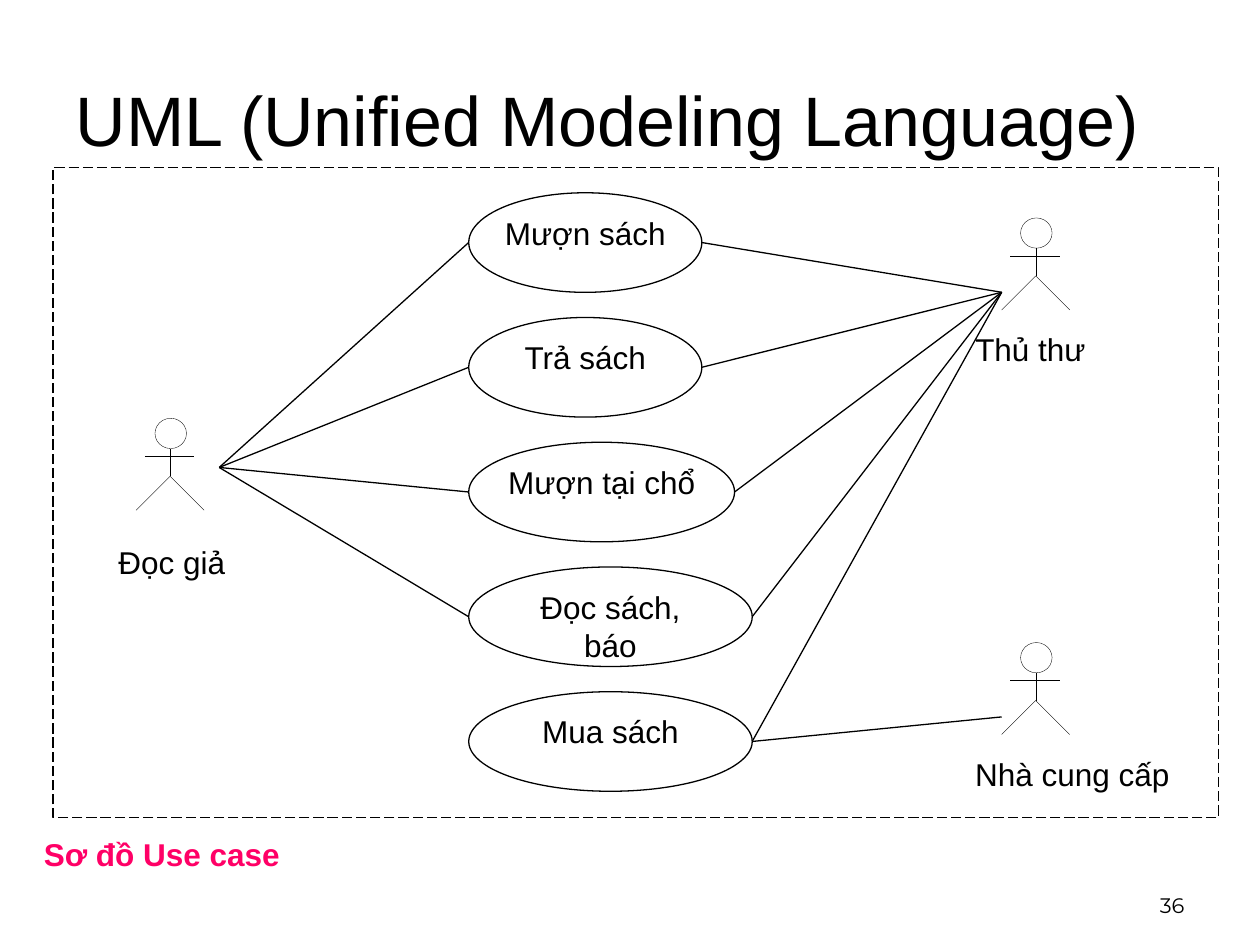
from lxml import etree
from pptx import Presentation
from pptx.dml.color import RGBColor
from pptx.enum import dml, shapes, text
from pptx.oxml import ns
from pptx.util import Inches, Pt

BLACK = RGBColor(0x00, 0x00, 0x00)
WHITE = RGBColor(0xFF, 0xFF, 0xFF)
PINK = RGBColor(0xFF, 0x00, 0x66)
ALIGN = text.PP_ALIGN
ANCHOR = text.MSO_ANCHOR


def write(part, words, inset=(0, 0), align=ALIGN.LEFT, anchor=ANCHOR.TOP,
          wrap=True, color=BLACK, **font_values):
    frame = part.text_frame
    side, top = (Inches(value) for value in inset)
    layout_values = {"margin_left": side, "margin_right": side,
                     "margin_top": top, "margin_bottom": top,
                     "vertical_anchor": anchor, "word_wrap": wrap,
                     "auto_size": text.MSO_AUTO_SIZE.NONE}
    for key, value in layout_values.items():
        setattr(frame, key, value)
    frame.text = words
    paragraph = frame.paragraphs[0]
    paragraph.alignment = align
    for key, value in ({"name": "Arial", "size": Pt(18)} | font_values).items():
        setattr(paragraph.font, key, value)
    paragraph.font.color.rgb = color


def connect(start, end, weight=0.75):
    link = slide.shapes.add_connector(
        shapes.MSO_CONNECTOR.STRAIGHT, *(Inches(value) for value in start + end))
    link.line.color.rgb = BLACK
    link.line.width = Pt(weight)
    etree.SubElement(link._element.spPr, ns.qn("a:effectLst"))


deck = Presentation()
deck.slide_width = Inches(10)
deck.slide_height = Inches(7.5)
slide = deck.slides.add_slide(deck.slide_layouts[5])

title = slide.shapes.title
title_place = {"left": 0.5, "top": 0.5, "width": 9, "height": 1.5}
for key, value in title_place.items():
    setattr(title, key, Inches(value))
write(title, "UML (Unified Modeling Language)", (0.1, 0.11), size=Pt(40))

page_number = slide.shapes.add_textbox(
    Inches(7.17), Inches(6.83), Inches(2.33), Inches(0.5))
write(page_number, "36", (0.1, 0.05), ALIGN.RIGHT, ANCHOR.BOTTOM,
      name="Montserrat", size=Pt(12))

caption = slide.shapes.add_textbox(
    Inches(0.25), Inches(6.58), Inches(2.07), Inches(0.4))
write(caption, "Sơ đồ Use case", (0.1, 0.05), wrap=False, color=PINK, bold=True)

boundary = slide.shapes.add_shape(
    shapes.MSO_SHAPE.RECTANGLE,
    Inches(0.42), Inches(1.33), Inches(9.25), Inches(5.16))
boundary.shadow.inherit = False
boundary.fill.background()
boundary.line.color.rgb = BLACK
boundary.line.width = Pt(0.75)
boundary.line.dash_style = dml.MSO_LINE.LONG_DASH

case_left, case_top, case_pitch, case_height = 3.72, 1.53, 0.99, 0.79
use_cases = [("Mượn sách", 1.85), ("Trả sách", 1.85), ("Mượn tại chổ", 2.11),
             ("Đọc sách, báo", 2.25), ("Mua sách", 2.25)]
left_ends, right_ends = [], []
for index, (words, width) in enumerate(use_cases):
    top = case_top + index * case_pitch
    use_case = slide.shapes.add_shape(
        shapes.MSO_SHAPE.OVAL, Inches(case_left), Inches(top),
        Inches(width), Inches(case_height))
    use_case.shadow.inherit = False
    use_case.fill.solid()
    use_case.fill.fore_color.rgb = WHITE
    use_case.line.color.rgb = BLACK
    use_case.line.width = Pt(0.75)
    write(use_case, words, (0, 0.05), ALIGN.CENTER)
    middle = top + case_height / 2
    left_ends.append((case_left, middle))
    right_ends.append((case_left + width, middle))

actors = [("Đọc giả", 1.35, 3.32, 0.94, 4.31, 0.85),
          ("Thủ thư", 8.22, 1.73, 7.74, 2.62, 0.88),
          ("Nhà cung cấp", 8.22, 5.1, 7.74, 5.99, 1.54)]
for role, center, top, label_left, label_top, label_width in actors:
    head = slide.shapes.add_shape(
        shapes.MSO_SHAPE.OVAL, Inches(center - 0.12), Inches(top),
        Inches(0.25), Inches(0.24))
    hip = top + 0.46
    connect((center, top + 0.24), (center, hip), 0.2)
    connect((center - 0.2, top + 0.3), (center + 0.19, top + 0.3), 0.2)
    outline = slide.shapes.build_freeform(
        Inches(center - 0.27), Inches(hip + 0.27))
    outline.add_line_segments(
        [(Inches(center), Inches(hip)),
         (Inches(center + 0.27), Inches(hip + 0.27))], close=False)
    legs = outline.convert_to_shape()
    for body_part in (head, legs):
        body_part.shadow.inherit = False
        body_part.fill.background()
        body_part.line.color.rgb = BLACK
        body_part.line.width = Pt(0.2)
    label = slide.shapes.add_textbox(
        Inches(label_left), Inches(label_top), Inches(label_width), Inches(0.3))
    write(label, role, wrap=False)

associations = [((1.74, 3.71), left_ends[:4]),
                ((7.95, 2.32), right_ends),
                ((7.95, 5.69), right_ends[4:])]
for actor_point, case_points in associations:
    for case_point in case_points:
        connect(actor_point, case_point)

deck.save("out.pptx")
